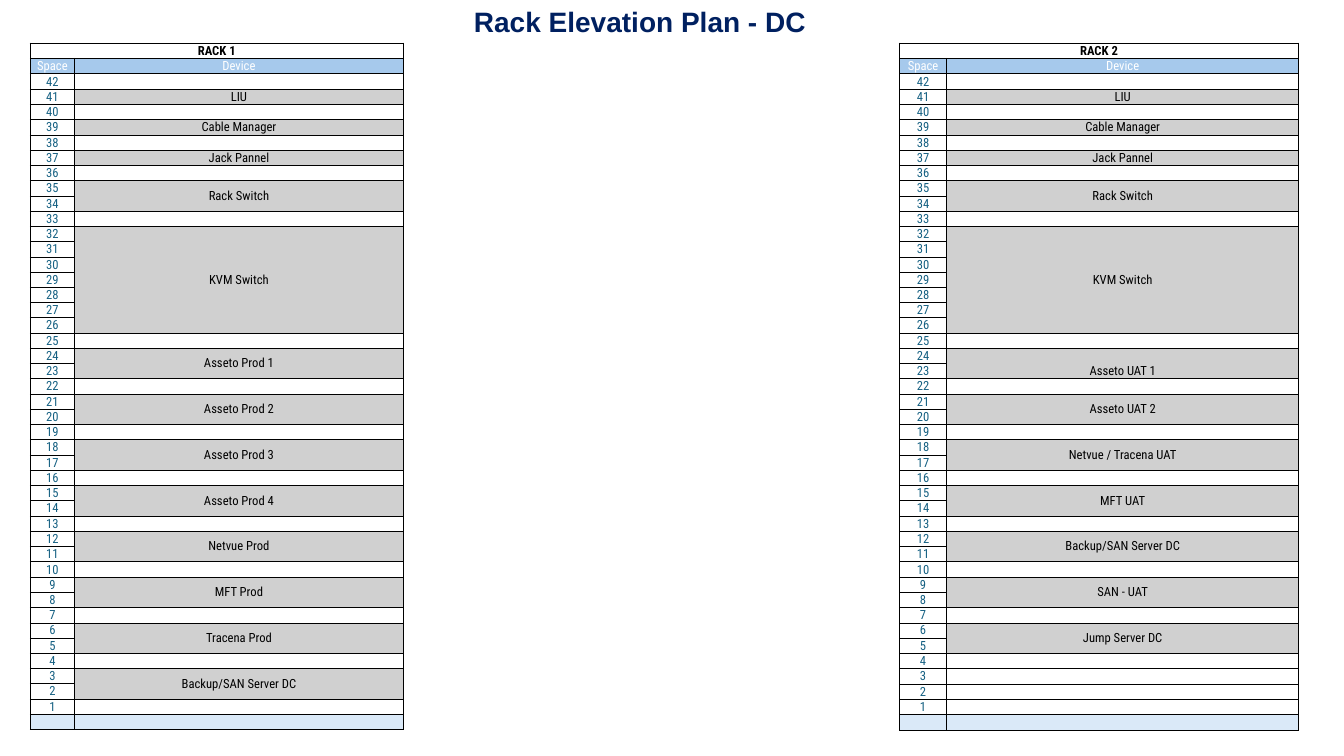
from lxml.etree import SubElement
from pptx import Presentation
from pptx.dml.color import RGBColor
from pptx.enum.text import MSO_ANCHOR as ANCHOR, MSO_AUTO_SIZE as AUTO, PP_ALIGN as ALIGN
from pptx.oxml.ns import qn
from pptx.util import Inches, Pt

NAVY = RGBColor(0x00, 0x20, 0x60)
BLACK = RGBColor(0x00, 0x00, 0x00)
WHITE = RGBColor(0xFF, 0xFF, 0xFF)
TEAL = RGBColor(0x15, 0x60, 0x82)
HEADER_BLUE = RGBColor(0xA6, 0xC9, 0xEC)
FOOTER_BLUE = RGBColor(0xDA, 0xE9, 0xF8)
GREY = RGBColor(0xD0, 0xD0, 0xD0)

UNITS = 42
ROWS = UNITS + 3  # name, headings, units, footer
ROW_H = Inches(6.8) // ROWS
TEXT_SIZE = Pt(9)

# Top unit: (device, height in units)
SHARED = {41: ("LIU", 1), 39: ("Cable Manager", 1), 37: ("Jack Pannel", 1),
          35: ("Rack Switch", 2), 32: ("KVM Switch", 7)}
PROD = ["Asseto Prod 1", "Asseto Prod 2", "Asseto Prod 3", "Asseto Prod 4",
        "Netvue Prod", "MFT Prod", "Tracena Prod", "Backup/SAN Server DC"]
UAT = ["Asseto UAT 1", "Asseto UAT 2", "Netvue / Tracena UAT", "MFT UAT",
       "Backup/SAN Server DC", "SAN - UAT", "Jump Server DC"]
# Name, left, column widths, servers from unit 24 downwards
RACKS = [("RACK 1", 0.3, (0.44, 3.26), PROD),
         ("RACK 2", 8.92, (0.47, 3.49), UAT)]


def frame_cell(cell, top=0.5, other=0.5):
    """Clear margins and fill, draw the borders, and keep empty cells at text size."""
    cell.margin_left = cell.margin_right = cell.margin_top = cell.margin_bottom = 0
    tcPr = cell._tc.get_or_add_tcPr()
    for side in "LRTB":
        width = top if side == "T" else other
        ln = SubElement(tcPr, qn(f"a:ln{side}"), w=str(Pt(width)))
        fill = SubElement(ln, qn("a:solidFill"))
        SubElement(fill, qn("a:srgbClr"), val=str(BLACK))
    cell.fill.background()
    end = SubElement(cell.text_frame.paragraphs[0]._p, qn("a:endParaRPr"))
    end.set("sz", str(int(TEXT_SIZE.pt * 100)))


def write_cell(cell, text, color, fill=None, anchor=ANCHOR.BOTTOM, bold=False):
    p = cell.text_frame.paragraphs[0]
    p.text = text
    p.alignment = ALIGN.CENTER
    cell.vertical_anchor = anchor
    font = p.runs[0].font
    font.name, font.size, font.bold = "Roboto Condensed", TEXT_SIZE, bold
    font.color.rgb = color
    if fill is not None:
        cell.fill.solid()
        cell.fill.fore_color.rgb = fill


prs = Presentation()
prs.slide_width, prs.slide_height = Inches(13.33), Inches(7.5)
slide = prs.slides.add_slide(prs.slide_layouts[5])

title = slide.shapes.title
title.left, title.top = Inches(4.6), 0
title.width, title.height = Inches(3.96), Inches(0.43)
tf = title.text_frame
tf.text = "Rack Elevation Plan - DC"
tf.auto_size = AUTO.NONE
tf.vertical_anchor = ANCHOR.BOTTOM
p = tf.paragraphs[0]
p.alignment, p.line_spacing = ALIGN.LEFT, 0.9
font = p.runs[0].font
font.name, font.size, font.bold = "Arial", Pt(20), True
font.color.rgb = NAVY

for name, left, widths, servers in RACKS:
    shape = slide.shapes.add_table(ROWS, 2, Inches(left), Inches(0.43),
                                   Inches(sum(widths)), ROW_H * ROWS)
    shape.name = name
    table = shape.table
    table.first_row = table.horz_banding = False
    for column, width in zip(table.columns, widths):
        column.width = Inches(width)
    for i, row in enumerate(table.rows):
        row.height = ROW_H
        for cell in row.cells:
            frame_cell(cell, top=1 if i < 2 else 0.5, other=1 if i == 0 else 0.5)

    table.cell(0, 0).merge(table.cell(0, 1))
    write_cell(table.cell(0, 0), name, BLACK, bold=True)
    for col, heading in enumerate(["Space", "Device"]):
        write_cell(table.cell(1, col), heading, WHITE, HEADER_BLUE, ANCHOR.MIDDLE)
        footer = table.cell(ROWS - 1, col)
        footer.fill.solid()
        footer.fill.fore_color.rgb = FOOTER_BLUE
    for unit in range(1, UNITS + 1):
        write_cell(table.cell(UNITS + 2 - unit, 0), str(unit), TEAL)

    devices = SHARED | {24 - 3 * i: (server, 2) for i, server in enumerate(servers)}
    for unit, (device, height) in devices.items():
        row = UNITS + 2 - unit
        cell = table.cell(row, 1)
        if height > 1:
            cell.merge(table.cell(row + height - 1, 1))
        low = height == 1 or device == "Asseto UAT 1"
        write_cell(cell, device, BLACK, GREY, ANCHOR.BOTTOM if low else ANCHOR.MIDDLE)

prs.save("out.pptx")
